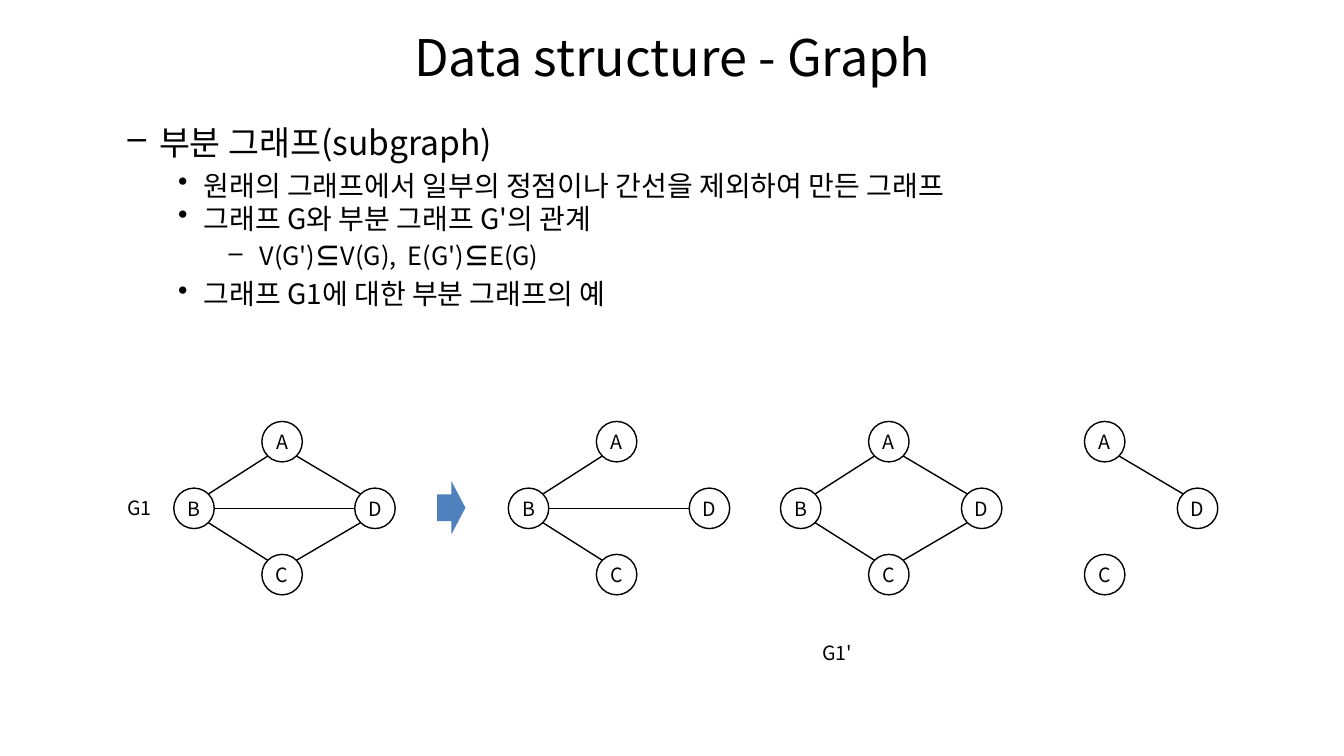
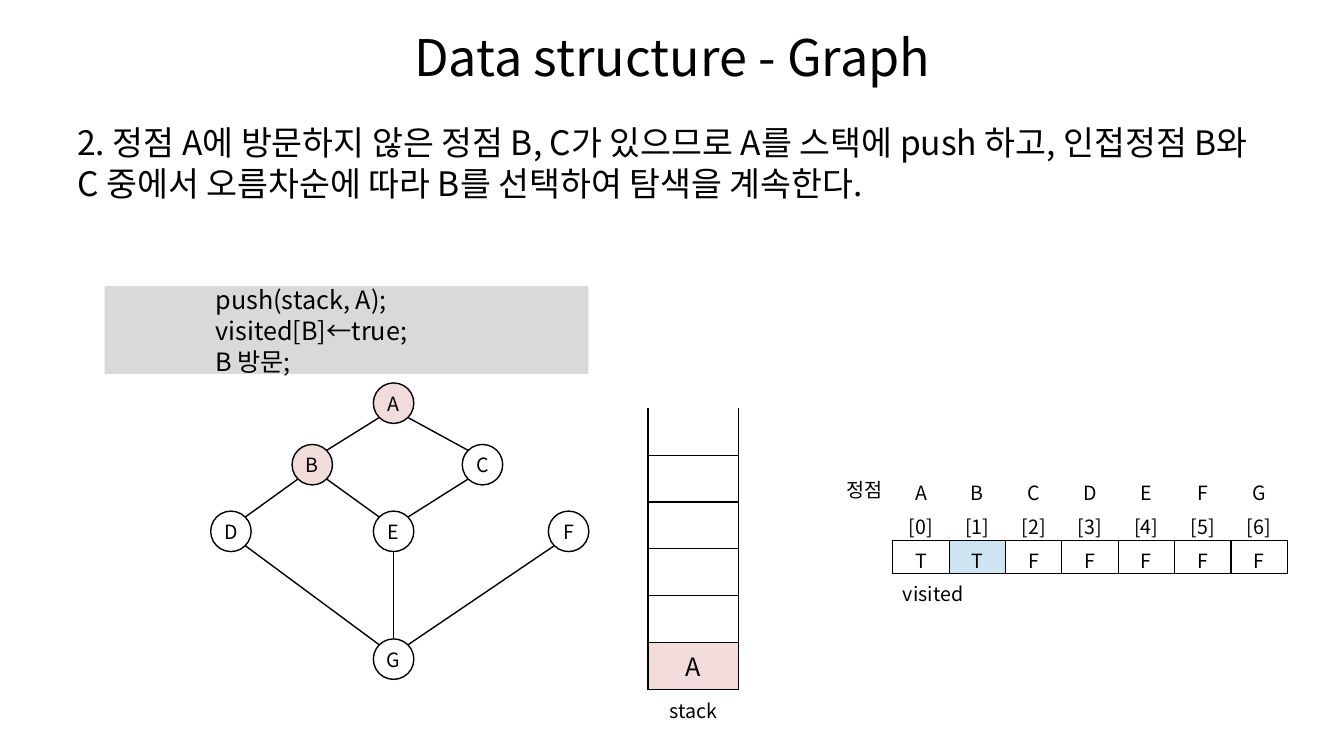
from dataclasses import dataclass
from math import sqrt
from typing import Any

from lxml import etree
from pptx import Presentation
from pptx import util as u
from pptx.dml.color import RGBColor
from pptx.enum import shapes, text
from pptx.oxml import ns


# Theme: colours and type sizes
@dataclass(frozen=True)
class Theme:
    font: str = "Noto Sans CJK KR"
    ink: str = "000000"
    paper: str = "FFFFFF"
    arrow: str = "4F81BD"
    visited: str = "F2DCDB"
    current: str = "CEE4F0"
    code: str = "D9D9D9"
    title: float = 36
    body: float = 24
    item: float = 20
    detail: float = 18
    label: float = 14
    line: float = 1
    leading: float = 1.22


T = Theme()
ALIGN = text.PP_ALIGN
MIDDLE = text.MSO_ANCHOR.MIDDLE
RADIUS = 0.51


# Repeated elements
@dataclass(frozen=True)
class Box:
    x: float
    y: float
    w: float
    h: float

    def lengths(self) -> list[u.Length]:
        return [u.Cm(v) for v in (self.x, self.y, self.w, self.h)]


@dataclass(frozen=True)
class Para:
    text: str
    size: float
    align: Any = ALIGN.LEFT
    bullet: str = ""
    left: float = 0
    hang: float = 0
    leading: float = T.leading


@dataclass(frozen=True)
class Graph:
    nodes: dict[str, tuple[float, float]]
    edges: str
    x: float = 0
    y: float = 0
    visited: str = ""


@dataclass(frozen=True)
class CellStyle:
    text: str = ""
    size: float = T.label
    fill: str = T.paper
    sides: str = ""
    align: Any = ALIGN.CENTER


# Formatting helpers
def set_attrs(obj: Any, values: dict[str, Any]) -> None:
    for name, value in values.items():
        setattr(obj, name, value)


def add_xml(parent: Any, tag: str, **attrs: str) -> Any:
    return etree.SubElement(parent, ns.qn(tag), attrs)


def paint(fill: Any, colour: str) -> None:
    fill.solid()
    fill.fore_color.rgb = RGBColor.from_string(colour)


def add_run(p: Any, content: str, size: float, bold: bool = False) -> None:
    r = p.add_run()
    r.text = content
    set_attrs(r.font, {"size": u.Pt(size), "bold": bold, "name": T.font})
    r.font.color.rgb = RGBColor.from_string(T.ink)
    add_xml(r.font._element, "a:ea", typeface=T.font)


def write(tf: Any, paras: list[Para], insets: tuple[float, float] = (0.25, 0.13),
          anchor: Any = MIDDLE, wrap: bool = True) -> None:
    side, edge = (u.Cm(v) for v in insets)
    set_attrs(tf, {"margin_left": side, "margin_right": side, "margin_top": edge,
                   "margin_bottom": edge, "vertical_anchor": anchor, "word_wrap": wrap})
    for i, para in enumerate(paras):
        p = tf.add_paragraph() if i else tf.paragraphs[0]
        if para.bullet:
            pPr = p._p.get_or_add_pPr()
            pPr.set("marL", str(u.Cm(para.left)))
            pPr.set("indent", str(u.Cm(-para.hang)))
            add_xml(pPr, "a:buChar", char=para.bullet)
        set_attrs(p, {"alignment": para.align,
                      "line_spacing": u.Pt(round(para.size * para.leading, 1)),
                      "space_before": u.Pt(para.size * 0.2 if i and para.bullet else 0)})
        # The subset sign is set in bold
        for j, part in enumerate(para.text.split("⊆")):
            if j:
                add_run(p, "⊆", para.size, True)
            add_run(p, part, para.size)


def add_text(s: Any, box: Box, paras: list[Para], anchor: Any = MIDDLE) -> None:
    write(s.shapes.add_textbox(*box.lengths()).text_frame, paras, anchor=anchor)


def add_label(s: Any, box: Box, content: str, align: Any = ALIGN.CENTER,
              anchor: Any = MIDDLE) -> None:
    add_text(s, box, [Para(content, T.label, align)], anchor)


def add_shape(s: Any, kind: Any, box: Box, fill: str, outlined: bool = False) -> Any:
    sp = s.shapes.add_shape(kind, *box.lengths())
    sp.shadow.inherit = False
    paint(sp.fill, fill)
    if outlined:
        paint(sp.line.fill, T.ink)
        sp.line.width = u.Pt(T.line)
    else:
        sp.line.fill.background()
    return sp


# Graphs: an edge meets each circle on its side or at 45 degrees
def sign(v: float) -> int:
    return (v > 0) - (v < 0)


def add_edge(s: Any, a: tuple[float, float], b: tuple[float, float]) -> None:
    dx, dy = sign(b[0] - a[0]), sign(b[1] - a[1])
    reach = RADIUS / sqrt(2) if dx and dy else RADIUS
    ends = (a[0] + dx * reach, a[1] + dy * reach, b[0] - dx * reach, b[1] - dy * reach)
    line = s.shapes.add_connector(shapes.MSO_CONNECTOR.STRAIGHT, *map(u.Cm, ends))
    paint(line.line.fill, T.ink)
    line.line.width = u.Pt(T.line)
    add_xml(line._element.spPr, "a:effectLst")


def add_graph(s: Any, g: Graph) -> None:
    centres = {n: (g.x + x, g.y + y) for n, (x, y) in g.nodes.items()}
    for name, (x, y) in centres.items():
        sp = add_shape(s, shapes.MSO_SHAPE.OVAL,
                       Box(x - RADIUS, y - RADIUS, 2 * RADIUS, 2 * RADIUS),
                       T.visited if name in g.visited else T.paper, True)
        write(sp.text_frame, [Para(name, T.label, ALIGN.CENTER)], (0, 0), wrap=False)
    for a, b in g.edges.split():
        add_edge(s, centres[a], centres[b])


# Tables
def style_cell(cell: Any, style: CellStyle, bottom: float) -> None:
    tcPr = cell._tc.get_or_add_tcPr()
    for side in "LRTB":
        ln = add_xml(tcPr, f"a:ln{side}", w=str(u.Pt(T.line)))
        if side in style.sides:
            add_xml(add_xml(ln, "a:solidFill"), "a:srgbClr", val=T.ink)
        else:
            add_xml(ln, "a:noFill")
    paint(cell.fill, style.fill)
    set_attrs(cell, {"margin_top": u.Cm(0.13), "margin_bottom": u.Cm(bottom),
                     "vertical_anchor": MIDDLE})
    p = cell.text_frame.paragraphs[0]
    p.alignment = style.align
    if style.text:
        add_run(p, style.text, style.size)


def add_grid(s: Any, x: float, y: float, col: float, heights: list[float],
             rows: list[list[CellStyle]], bottom: float) -> Any:
    n = len(rows[0])
    box = Box(x, y, col * n, sum(heights))
    tbl = s.shapes.add_table(len(rows), n, *box.lengths()).table
    set_attrs(tbl, {"first_row": False, "horz_banding": False})
    for column in tbl.columns:
        column.width = u.Cm(col)
    for i, (height, row) in enumerate(zip(heights, rows)):
        tbl.rows[i].height = u.Cm(height)
        for j, style in enumerate(row):
            style_cell(tbl.cell(i, j), style, bottom)
    return tbl


# Slides
def add_slide(prs: Any, body: list[Para]) -> Any:
    s = prs.slides.add_slide(prs.slide_layouts[6])
    add_text(s, Box(1.7, 0.33, 30.48, 2.16),
             [Para("Data structure - Graph", T.title, ALIGN.CENTER)])
    add_text(s, Box(1.7, 2.92, 30.48, 14.4), body, text.MSO_ANCHOR.TOP)
    return s


def subgraph_slide(prs: Any) -> None:
    item = {"size": T.item, "bullet": "•", "left": 3.18, "hang": 0.64}
    s = add_slide(prs, [
        Para("부분 그래프(subgraph)", T.body, bullet="–", left=2.06, hang=0.79),
        Para("원래의 그래프에서 일부의 정점이나 간선을 제외하여 만든 그래프", **item),
        Para("그래프 G와 부분 그래프 G'의 관계", **item, leading=0.98),
        Para(" V(G')⊆V(G),  E(G')⊆E(G)", T.detail, bullet="–", left=4.45, hang=0.64),
        Para("그래프 G1에 대한 부분 그래프의 예", **item),
    ])
    # The whole graph, then three subgraphs
    nodes = {"A": (0, 0), "C": (0, 3.35), "B": (-2.22, 1.68), "D": (2.34, 1.68)}
    for x, names, edges in [(7.11, "ACBD", "BD AB CB DC AD"), (15.54, "ACBD", "BD AB CB"),
                            (22.4, "ACBD", "AB CB DC AD"), (27.84, "ACD", "AD")]:
        add_graph(s, Graph({n: nodes[n] for n in names}, edges, x, 11.13))
    add_label(s, Box(2.74, 12.37, 1.55, 0.86), "G1")
    add_label(s, Box(20.32, 16, 1.55, 0.86), "G1'")
    add_shape(s, shapes.MSO_SHAPE.RIGHT_ARROW, Box(11.02, 12.12, 0.71, 1.35), T.arrow)


def search_slide(prs: Any) -> None:
    s = add_slide(prs, [Para(
        "2. 정점 A에 방문하지 않은 정점 B, C가 있으므로 A를 스택에 push 하고, "
        "인접정점 B와 C 중에서 오름차순에 따라 B를 선택하여 탐색을 계속한다.", T.body)])
    # Graph being searched
    add_graph(s, Graph(
        {"A": (9.92, 10.16), "B": (7.87, 11.71), "C": (12.16, 11.71), "D": (5.82, 13.39),
         "E": (9.92, 13.39), "F": (14.33, 13.39), "G": (9.92, 16.61)},
        "BD AB EB CE AC GD FG GE", visited="AB"))
    # Stack
    slots = [CellStyle(sides="LRB")] + [CellStyle(sides="LRTB")] * 4
    slots += [CellStyle("A", T.detail, T.visited, "LRTB"), CellStyle("stack", sides="T")]
    add_grid(s, 16.33, 10.29, 2.29, [1.18] * 6 + [1.04], [[c] for c in slots], 0.13)
    # Steps
    sp = add_shape(s, shapes.MSO_SHAPE.RECTANGLE, Box(2.64, 7.21, 12.19, 2.21), T.code)
    write(sp.text_frame, [Para(step, T.detail) for step in
                          ("push(stack, A);", "visited[B]←true;", "B 방문;")], (2.79, 0))
    # Visited flags
    add_label(s, Box(21.08, 11.91, 1.7, 0.86), "정점", ALIGN.LEFT, text.MSO_ANCHOR.TOP)
    flags = "TTFFFFF"
    rows = [
        [CellStyle(name) for name in "ABCDEFG"],
        [CellStyle(f"[{i}]", sides="B") for i in range(len(flags))],
        [CellStyle(flag, fill=T.current if i == 1 else T.paper, sides="LRTB")
         for i, flag in enumerate(flags)],
        [CellStyle("" if i else "visited", sides="T", align=ALIGN.LEFT)
         for i in range(len(flags))],
    ]
    tbl = add_grid(s, 22.5, 11.91, 1.42, [0.85] * 4, rows, 0)
    tbl.cell(3, 0).merge(tbl.cell(3, len(flags) - 1))


def main() -> None:
    prs = Presentation()
    set_attrs(prs, {"slide_width": u.Cm(33.87), "slide_height": u.Cm(19.05)})
    subgraph_slide(prs)
    search_slide(prs)
    prs.save("out.pptx")


if __name__ == "__main__":
    main()
